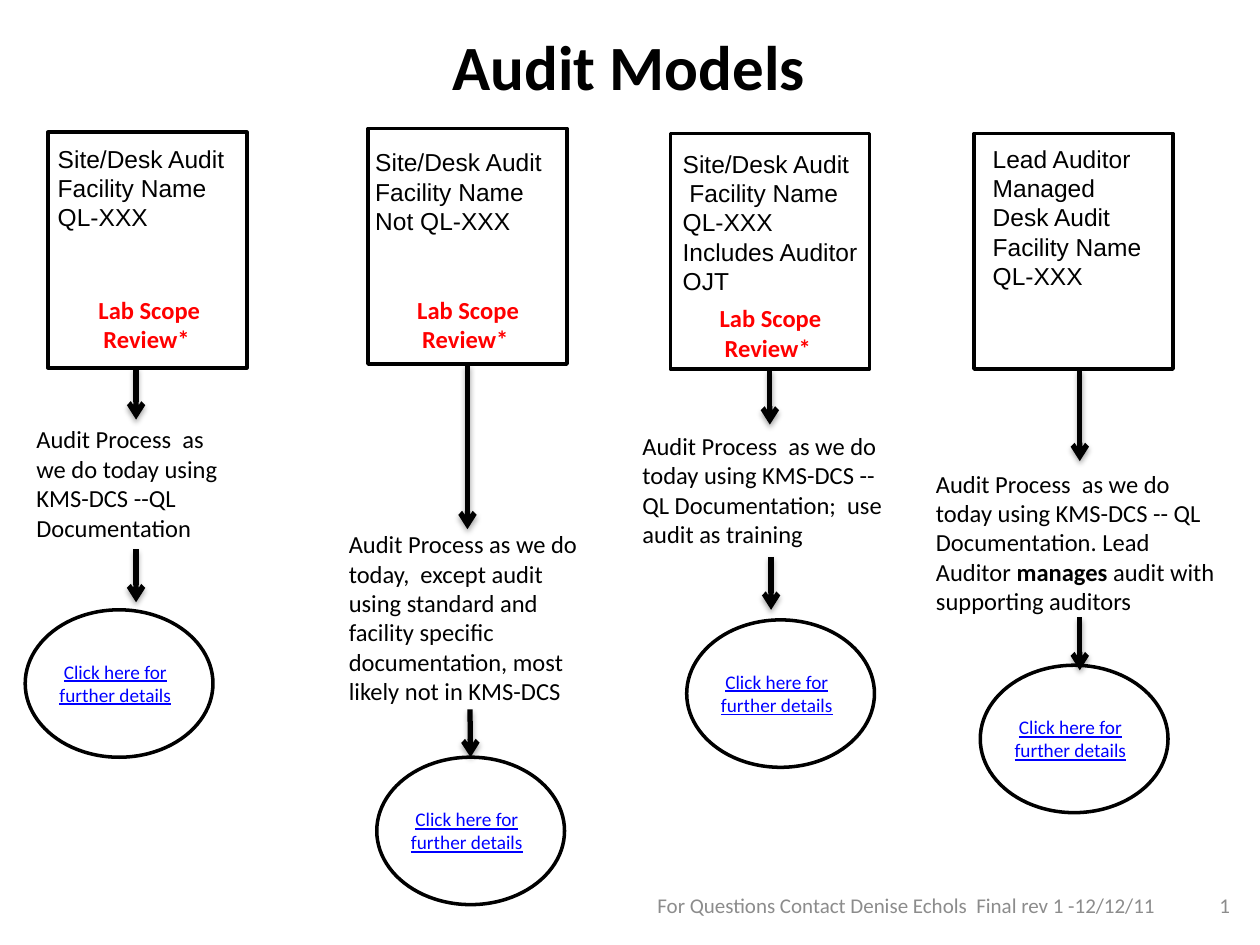
from dataclasses import dataclass

import lxml.etree
import pptx
import pptx.dml.color
import pptx.enum.shapes
import pptx.enum.text
import pptx.oxml
import pptx.oxml.ns
import pptx.util

Inches, Pt = pptx.util.Inches, pptx.util.Pt
ALIGN = pptx.enum.text.PP_ALIGN
ANCHOR = pptx.enum.text.MSO_ANCHOR
SHAPE = pptx.enum.shapes.MSO_SHAPE
COLORS = {"ink": "000000", "alert": "FF0000", "link": "0000FF", "footer": "8C8C8C"}

BOX_W, BOX_H = 1.58, 1.87
OVAL_W, OVAL_H = 1.49, 1.17
JOIN_TOLERANCE = 0.02
SHADOW_XML = (
    '<a:effectLst xmlns:a="http://schemas.openxmlformats.org/drawingml/2006/main">'
    '<a:outerShdw blurRad="40000" dist="23000" dir="5400000" rotWithShape="0">'
    '<a:srgbClr val="000000"><a:alpha val="35000"/></a:srgbClr>'
    "</a:outerShdw></a:effectLst>"
)


@dataclass
class Area:
    left: float
    top: float
    width: float
    height: float


@dataclass
class Run:
    text: str
    bold: bool = False


@dataclass
class Style:
    size: int = 14
    font: str = "Calibri"
    color: str = "ink"
    bold: bool = False
    underline: bool = False
    align: ALIGN = ALIGN.LEFT
    anchor: ANCHOR = ANCHOR.TOP
    wrap: bool = True


@dataclass
class Arrow:
    x: float
    top: float
    bottom: float


@dataclass
class Model:
    box: tuple[float, float]
    title_area: Area
    title: list[str]
    title_wraps: bool
    scope: tuple[float, float] | None
    first_arrow: Arrow
    process_area: Area
    process: list[list[Run]]
    second_arrow: Arrow
    oval: tuple[float, float]


MODELS = [
    Model((0.38, 1.05), Area(0.36, 1.09, 1.92, 0.81),
          ["Site/Desk Audit Facility Name", "QL-XXX"], True, (0.41, 2.29),
          Arrow(1.08, 2.92, 3.33), Area(0.19, 3.32, 1.78, 1.04),
          [[Run("Audit Process  as we do today using KMS-DCS --QL Documentation")]],
          Arrow(1.08, 4.36, 4.78), (0.2, 4.84)),
    Model((2.92, 1.02), Area(2.88, 1.12, 1.53, 0.81),
          ["Site/Desk Audit", "Facility Name", "Not QL-XXX"], False, (2.94, 2.29),
          Arrow(3.71, 2.93, 4.2), Area(2.67, 4.15, 2.07, 1.51),
          [[Run("Audit Process as we do today,  except audit using standard and "
                "facility specific")],
           [Run("documentation, most likely not in KMS-DCS")]],
          Arrow(3.73, 5.63, 6.05), (2.99, 6.01)),
    Model((5.32, 1.06), Area(5.32, 1.13, 1.6, 1.55),
          ["Site/Desk Audit", " Facility Name", "QL-XXX", "Includes Auditor", "OJT"],
          False, (5.34, 2.36),
          Arrow(6.11, 2.95, 3.37), Area(5, 3.37, 2.25, 1.04),
          [[Run("Audit Process  as we do today using KMS-DCS -- QL Documentation;  "
                "use audit as training")]],
          Arrow(6.12, 4.42, 4.84), (5.45, 4.92)),
    Model((7.73, 1.06), Area(7.78, 1.09, 1.58, 1.28),
          ["Lead Auditor", "Managed", "Desk Audit", "Facility Name", "QL-XXX"],
          True, None,
          Arrow(8.57, 2.93, 3.66), Area(7.33, 3.67, 2.5, 1.28),
          [[Run("Audit Process  as we do today using KMS-DCS -- QL Documentation. "
                "Lead Auditor "),
            Run("manages", True), Run(" audit with supporting auditors")]],
          Arrow(8.57, 4.9, 5.32), (7.78, 5.28)),
]


def rgb(name: str) -> pptx.dml.color.RGBColor:
    return pptx.dml.color.RGBColor.from_string(COLORS[name])


def add_text(slide, area: Area, paragraphs: list[list[Run]], style: Style) -> None:
    sp = slide.shapes.add_textbox(Inches(area.left), Inches(area.top),
                                  Inches(area.width), Inches(area.height))
    tf = sp.text_frame
    tf.word_wrap = style.wrap
    tf.vertical_anchor = style.anchor
    for i, runs in enumerate(paragraphs):
        p = tf.add_paragraph() if i else tf.paragraphs[0]
        p.alignment = style.align
        for run in runs:
            r = p.add_run()
            r.text = run.text
            r.font.name = style.font
            r.font.size = Pt(style.size)
            r.font.bold = style.bold or run.bold
            r.font.underline = style.underline
            r.font.color.rgb = rgb(style.color)


def add_outline(slide, kind: SHAPE, area: Area):
    sp = slide.shapes.add_shape(kind, Inches(area.left), Inches(area.top),
                                Inches(area.width), Inches(area.height))
    sp.shadow.inherit = False
    sp.fill.background()
    sp.line.color.rgb = rgb("ink")
    sp.line.width = Pt(2)
    return sp


def add_arrow(slide, arrow: Arrow):
    line = slide.shapes.add_connector(
        pptx.enum.shapes.MSO_CONNECTOR.STRAIGHT, Inches(arrow.x), Inches(arrow.top),
        Inches(arrow.x), Inches(arrow.bottom))
    line.line.color.rgb = rgb("ink")
    line.line.width = Pt(3)
    ln = line.line._get_or_add_ln()
    lxml.etree.SubElement(ln, pptx.oxml.ns.qn("a:tailEnd"), type="arrow")
    line._element.spPr.append(pptx.oxml.parse_xml(SHADOW_XML))
    return line


def add_model(slide, model: Model) -> None:
    # Heading box
    left, top = model.box
    box = add_outline(slide, SHAPE.RECTANGLE, Area(left, top, BOX_W, BOX_H))
    add_text(slide, model.title_area, [[Run(t)] for t in model.title],
             Style(font="Arial", wrap=model.title_wraps))
    if model.scope:
        add_text(slide, Area(*model.scope, 1.55, 0.57), [[Run("Lab Scope Review* ")]],
                 Style(color="alert", bold=True, align=ALIGN.CENTER))

    # Process description between two arrows
    first = add_arrow(slide, model.first_arrow)
    if abs(model.first_arrow.x - left - BOX_W / 2) < JOIN_TOLERANCE:
        first.begin_connect(box, 2)
    add_text(slide, model.process_area, model.process, Style())
    second = add_arrow(slide, model.second_arrow)

    # Details oval
    left, top = model.oval
    oval = add_outline(slide, SHAPE.OVAL, Area(left, top, OVAL_W, OVAL_H))
    if abs(model.second_arrow.x - left - OVAL_W / 2) < JOIN_TOLERANCE:
        second.end_connect(oval, 0)
    add_text(slide, Area(left + 0.09, top + 0.35, 1.25, 0.47),
             [[Run("Click here for further details")]],
             Style(size=11, color="link", underline=True, align=ALIGN.CENTER))


def main() -> None:
    prs = pptx.Presentation()
    prs.slide_width, prs.slide_height = Inches(10), Inches(7.5)
    slide = prs.slides.add_slide(prs.slide_layouts[6])

    # Title
    add_text(slide, Area(3.2, 0.17, 3.58, 0.71), [[Run("Audit Models")]],
             Style(size=36, bold=True, align=ALIGN.CENTER))

    # Four audit models
    for model in MODELS:
        add_model(slide, model)

    # Footer and page number
    add_text(slide, Area(5.08, 6.98, 4.23, 0.4),
             [[Run("For Questions Contact Denise Echols  Final rev 1 -12/12/11")]],
             Style(12, color="footer", align=ALIGN.CENTER, anchor=ANCHOR.MIDDLE))
    add_text(slide, Area(6.94, 6.98, 2.92, 0.4), [[Run("1")]],
             Style(12, color="footer", align=ALIGN.RIGHT, anchor=ANCHOR.MIDDLE))

    prs.save("out.pptx")


if __name__ == "__main__":
    main()
